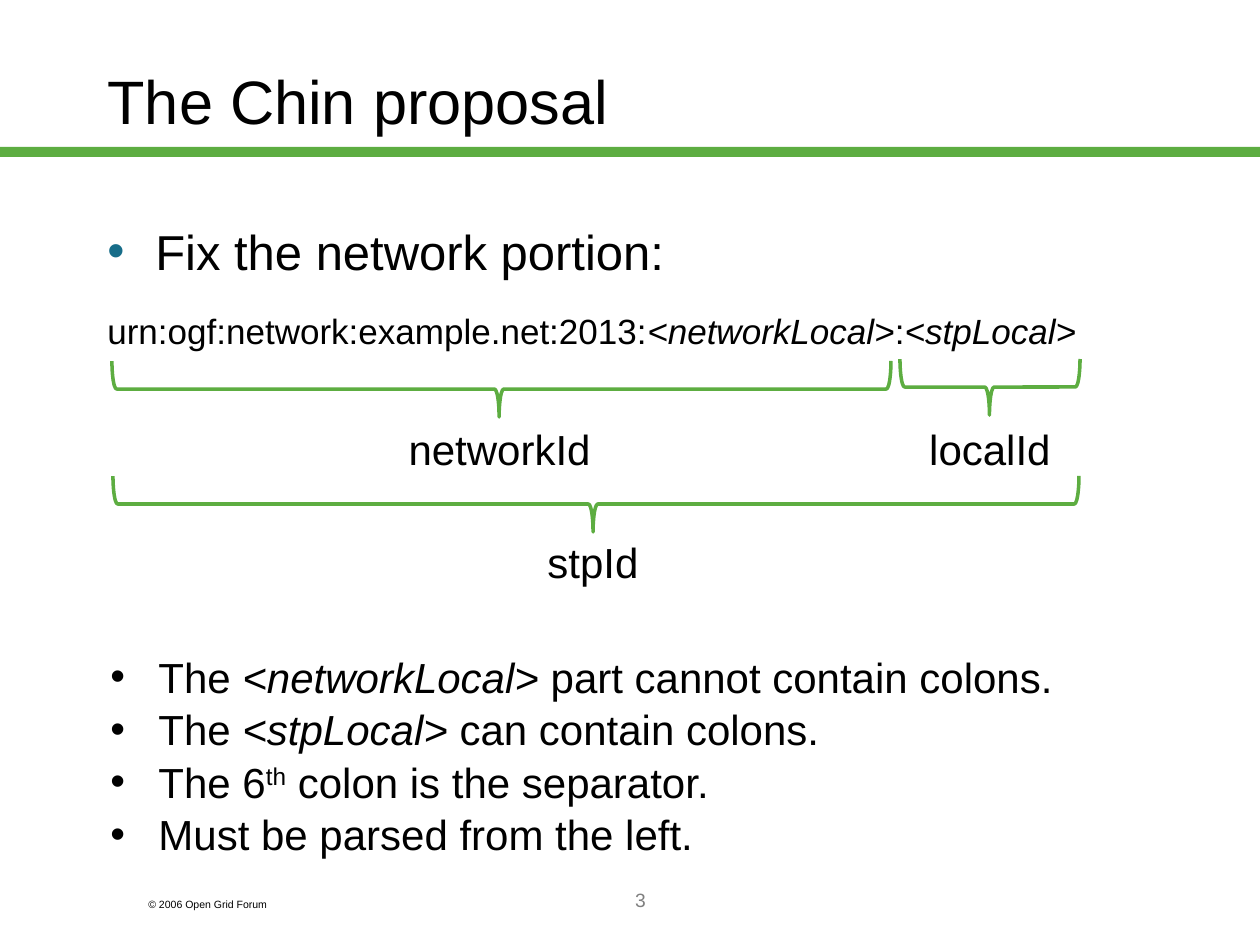
from pptx import Presentation
from pptx.dml.color import RGBColor
from pptx.enum.shapes import MSO_SHAPE as Shape
from pptx.enum.text import MSO_ANCHOR as Anchor, MSO_AUTO_SIZE as AutoSize, PP_ALIGN as Align
from pptx.oxml.ns import qn
from pptx.util import Emu, Pt
from lxml.etree import SubElement

PX_PER_INCH = 126
GREEN = RGBColor(0x5D, 0xAD, 0x41)
TEAL = RGBColor(0x17, 0x6D, 0x89)
BLACK = RGBColor(0, 0, 0)
GRAY = RGBColor(0x80, 0x80, 0x80)
INDENT = 48
BRACE_DEPTH = 56
BRACE_ADJUST = (0.083, 0.497)

NETWORK_LOCAL = ("<networkLocal>", {"italic": True})
STP_LOCAL = ("<stpLocal>", {"italic": True})
RULES = [
    ["The ", NETWORK_LOCAL, " part cannot contain colons."],
    ["The ", STP_LOCAL, " can contain colons."],
    ["The 6", ("th", {"baseline": 30000}), " colon is the separator."],
    ["Must be parsed from the left."],
]
URN = ["urn:ogf:network:example.net:2013:", NETWORK_LOCAL, ":", STP_LOCAL]
BRACES = [(112, 361, 779), (900, 359, 180), (113, 476, 966)]
LABELS = [
    ("networkId", 396, 417, 207),
    ("localId", 917, 417, 146),
    ("stpId", 535, 530, 116),
]


def px(length):
    return Emu(round(length * 914400 / PX_PER_INCH))


def place(shape, left, top, width, height):
    box = {"left": left, "top": top, "width": width, "height": height}
    for side, length in box.items():
        setattr(shape, side, px(length))


def format_frame(frame, wrap=True, anchor=Anchor.TOP):
    settings = {"word_wrap": wrap, "auto_size": AutoSize.NONE, "vertical_anchor": anchor}
    for name, value in settings.items():
        setattr(frame, name, value)


def add_text(slide, left, top, width, height, wrap=True):
    frame = slide.shapes.add_textbox(*map(px, (left, top, width, height))).text_frame
    format_frame(frame, wrap)
    return frame


def write(paragraph, pieces, size, color=BLACK, align=Align.LEFT, before=0):
    paragraph.alignment = align
    paragraph.space_before = Pt(before)
    for piece in pieces:
        words, style = (piece, {}) if isinstance(piece, str) else piece
        run = paragraph.add_run()
        run.text = words
        settings = {"name": "Arial", "size": Pt(size), "italic": style.get("italic", False)}
        for name, value in settings.items():
            setattr(run.font, name, value)
        run.font.color.rgb = color
        if "baseline" in style:
            run._r.get_or_add_rPr().set("baseline", str(style["baseline"]))


def add_bullet(paragraph, color):
    properties = paragraph._p.get_or_add_pPr()
    properties.set("marL", str(px(INDENT)))
    properties.set("indent", str(-px(INDENT)))
    bullet_color = SubElement(properties, qn("a:buClr"))
    SubElement(bullet_color, qn("a:srgbClr")).set("val", str(color))
    SubElement(properties, qn("a:buFont")).set("typeface", "Arial")
    SubElement(properties, qn("a:buChar")).set("char", "•")


def add_title(slide, words):
    title = slide.shapes.title
    place(title, 95, 21, 1071, 158)
    format_frame(title.text_frame, anchor=Anchor.MIDDLE)
    write(title.text_frame.paragraphs[0], [words], 35)


def add_title_rule(slide):
    rule = slide.shapes.add_shape(Shape.RECTANGLE, *map(px, (0, 147, 1260, 10)))
    rule.shadow.inherit = False
    rule.fill.solid()
    rule.fill.fore_color.rgb = GREEN
    rule.line.fill.background()


def add_brace(slide, left, top, span):
    turned_left = left + (span - BRACE_DEPTH) / 2
    turned_top = top - (span - BRACE_DEPTH) / 2
    brace = slide.shapes.add_shape(
        Shape.LEFT_BRACE, *map(px, (turned_left, turned_top, BRACE_DEPTH, span)))
    brace.rotation = 270
    for index, value in enumerate(BRACE_ADJUST):
        brace.adjustments[index] = value
    brace.shadow.inherit = False
    brace.fill.background()
    brace.line.color.rgb = GREEN
    brace.line.width = Pt(2)


def add_body(slide):
    body = add_text(slide, 95, 215, 1071, 562)
    heading = body.paragraphs[0]
    add_bullet(heading, TEAL)
    write(heading, ["Fix the network portion:"], 28)
    write(body.add_paragraph(), URN, 20, before=17)


def add_rules(slide):
    frame = add_text(slide, 98, 645, 1028, 214)
    for index, pieces in enumerate(RULES):
        paragraph = frame.add_paragraph() if index else frame.paragraphs[0]
        add_bullet(paragraph, BLACK)
        write(paragraph, pieces, 24, before=1.2 if index else 0)


def main():
    presentation = Presentation()
    presentation.slide_width, presentation.slide_height = px(1260), px(945)
    slide = presentation.slides.add_slide(presentation.slide_layouts[5])
    add_title_rule(slide)
    add_title(slide, "The Chin proposal")
    add_body(slide)
    for brace in BRACES:
        add_brace(slide, *brace)
    for words, left, top, width in LABELS:
        label = add_text(slide, left, top, width, 63, wrap=False)
        write(label.paragraphs[0], [words], 24, align=Align.RIGHT)
    add_rules(slide)
    copyright_line = add_text(slide, 136, 892, 189, 25)
    write(copyright_line.paragraphs[0], ["© 2006 Open Grid Forum"], 6)
    page_number = add_text(slide, 273, 882, 735, 63)
    write(page_number.paragraphs[0], ["3"], 11, GRAY, Align.CENTER)
    presentation.save("out.pptx")


if __name__ == "__main__":
    main()
